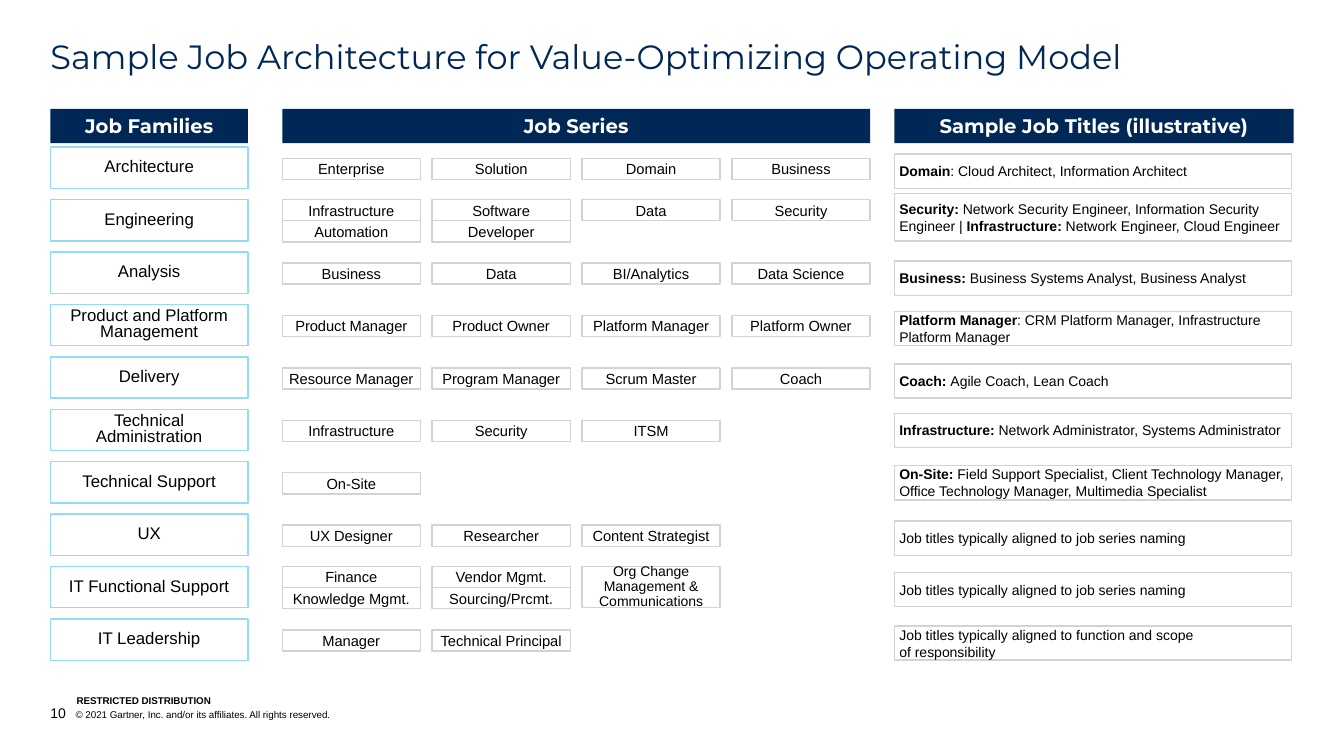
"""Build the job architecture slide."""
from lxml.etree import SubElement
from pptx import Presentation
from pptx.dml.color import RGBColor
from pptx.enum.shapes import MSO_SHAPE as Preset
from pptx.enum.text import MSO_ANCHOR as Anchor, MSO_AUTO_SIZE as AutoSize, PP_ALIGN as Align
from pptx.oxml.ns import qn
from pptx.util import Inches, Pt

NAVY, BLUE, GREY, BLACK, WHITE = "002856", "91DCF8", "D3D3D3", "000000", "FFFFFF"
FAMILY_LEFT, SERIES_LEFT, TITLES_LEFT = 0.5, 2.8, 8.87
FAMILY_WIDTH, SERIES_WIDTH, TITLES_WIDTH = 1.96, 5.83, 3.94
HEADER_TOP, HEADER_HEIGHT = 1.08, 0.34
ROW_TOP, ROW_PITCH, ROW_HEIGHT = 1.46, 0.52, 0.41
CELL_WIDTH, CELL_HEIGHT = 1.37, 0.21
CELL_PITCH = (SERIES_WIDTH - CELL_WIDTH) / 3
TALL_SERIES = "Org Change Management & Communications"
SERIES_NAMING = "Job titles typically aligned to job series naming"

HEADERS = [
    ("Job Families", FAMILY_LEFT, FAMILY_WIDTH),
    ("Job Series", SERIES_LEFT, SERIES_WIDTH),
    ("Sample Job Titles (illustrative)", TITLES_LEFT, 3.96),
]
FAMILIES = [
    ("Architecture", [["Enterprise"], ["Solution"], ["Domain"], ["Business"]],
     "**Domain**: Cloud Architect, Information Architect", 1.53),
    ("Engineering",
     [["Infrastructure", "Automation"], ["Software", "Developer"], ["Data"], ["Security"]],
     "**Security: **Network Security Engineer, Information Security Engineer | "
     "**Infrastructure: **Network Engineer, Cloud Engineer", 1.92),
    ("Analysis", [["Business"], ["Data"], ["BI/Analytics"], ["Data Science"]],
     "**Business: **Business Systems Analyst, Business Analyst", 2.59),
    ("Product and Platform Management",
     [["Product Manager"], ["Product Owner"], ["Platform Manager"], ["Platform Owner"]],
     "**Platform Manager**: CRM Platform Manager, Infrastructure Platform Manager", 3.09),
    ("Delivery", [["Resource Manager"], ["Program Manager"], ["Scrum Master"], ["Coach"]],
     "**Coach: **Agile Coach, Lean Coach", 3.61),
    ("Technical\nAdministration", [["Infrastructure"], ["Security"], ["ITSM"]],
     "**Infrastructure: **Network Administrator, Systems Administrator", 4.1),
    ("Technical Support", [["On-Site"]],
     "**On-Site: **Field Support Specialist, Client Technology Manager, "
     "Office Technology Manager, Multimedia Specialist", 4.62),
    ("UX", [["UX Designer"], ["Researcher"], ["Content Strategist"]], SERIES_NAMING, 5.17),
    ("IT Functional Support",
     [["Finance", "Knowledge Mgmt."], ["Vendor Mgmt.", "Sourcing/Prcmt."], [TALL_SERIES]],
     SERIES_NAMING, 5.68),
    ("IT Leadership", [["Manager"], ["Technical Principal"]],
     "Job titles typically aligned to function and scope\vof responsibility", 6.21),
]


def color(value):
    """Return the colour for a hex string."""
    return RGBColor.from_string(value)


def apply_format(target, values):
    """Set each attribute of the target from a dict."""
    for name, value in values.items():
        setattr(target, name, value)


def add_runs(paragraph, text, size, font="Arial", ink=BLACK, bold=False):
    """Add text to a paragraph, with bold parts between double asterisks."""
    for line_number, line in enumerate(text.split("\v")):
        if line_number:
            paragraph.add_line_break()
        for part_number, part in enumerate(line.split("**")):
            if part:
                run = paragraph.add_run()
                run.text = part
                apply_format(run.font, {"name": font, "size": Pt(size),
                                        "bold": bold or part_number % 2 == 1})
                run.font.color.rgb = color(ink)


def format_frame(frame, side_margin=0, anchor=Anchor.MIDDLE):
    """Set wrapping, anchor and margins of a text frame."""
    apply_format(frame, {"word_wrap": True, "auto_size": AutoSize.NONE,
                         "vertical_anchor": anchor, "margin_top": 0, "margin_bottom": 0,
                         "margin_left": Inches(side_margin),
                         "margin_right": Inches(side_margin)})


def add_box(slide, box, text, size, line=None, fill=None, align=Align.CENTER,
            side_margin=0.05, spacing=1.0, **font):
    """Draw a labelled rectangle in the given box."""
    shape = slide.shapes.add_shape(Preset.RECTANGLE, *map(Inches, box))
    shape.shadow.inherit = False
    if fill:
        shape.fill.solid()
        shape.fill.fore_color.rgb = color(fill)
    else:
        shape.fill.background()
    if line:
        shape.line.color.rgb = color(line)
        shape.line.width = Pt(1)
    else:
        shape.line.fill.background()
    frame = shape.text_frame
    format_frame(frame, side_margin)
    for number, label in enumerate(text.split("\n")):
        paragraph = frame.add_paragraph() if number else frame.paragraphs[0]
        apply_format(paragraph, {"alignment": align, "line_spacing": spacing})
        add_runs(paragraph, label, size, **font)


def add_title(slide, box, text):
    """Place and format the title placeholder."""
    title = slide.shapes.title
    apply_format(title, dict(zip(("left", "top", "width", "height"), map(Inches, box))))
    format_frame(title.text_frame, anchor=Anchor.TOP)
    paragraph = title.text_frame.paragraphs[0]
    apply_format(paragraph, {"alignment": Align.LEFT, "line_spacing": 0.9,
                             "space_after": Pt(12)})
    add_runs(paragraph, text, 24, "Montserrat", NAVY)


def add_headers(slide):
    """Draw the column headers."""
    for text, left, width in HEADERS:
        add_box(slide, (left, HEADER_TOP, width, HEADER_HEIGHT), text, 14, fill=NAVY,
                font="Montserrat", ink=WHITE, bold=True)


def add_series(slide, left, top, columns):
    """Draw the job series of one family, stacked where a column holds two."""
    stacked = max(map(len, columns)) > 1
    offset = 0 if stacked else (ROW_HEIGHT - CELL_HEIGHT) / 2 + 0.01
    for column, names in enumerate(columns):
        for level, name in enumerate(names):
            tall = name == TALL_SERIES
            box = (left + column * CELL_PITCH, top + offset + level * CELL_HEIGHT,
                   CELL_WIDTH, ROW_HEIGHT if tall else CELL_HEIGHT)
            add_box(slide, box, name, 10 if tall else 10.5, GREY,
                    spacing=0.9 if tall else 1.0)


def add_family(slide, top, family, columns, titles, titles_top):
    """Draw one row: family, job series and sample titles."""
    add_box(slide, (FAMILY_LEFT, top, FAMILY_WIDTH, ROW_HEIGHT), family, 12, BLUE,
            side_margin=0, spacing=0.8)
    add_series(slide, SERIES_LEFT, top, columns)
    height = 0.47 if family == "Engineering" else 0.34
    add_box(slide, (TITLES_LEFT, titles_top, TITLES_WIDTH, height), titles, 10, GREY,
            align=Align.LEFT)


def add_footer_line(slide, box, parts):
    """Place a footer line with a hanging tab; parts are text, size and bold."""
    frame = slide.shapes.add_textbox(*map(Inches, box)).text_frame
    format_frame(frame, anchor=Anchor.BOTTOM)
    paragraph = frame.paragraphs[0]
    properties = paragraph._p.get_or_add_pPr()
    indent = Inches(0.25)
    properties.set("marL", str(indent))
    properties.set("indent", str(-indent))
    tabs = SubElement(properties, qn("a:tabLst"))
    SubElement(tabs, qn("a:tab"), pos=str(indent), algn="l")
    for text, size, bold in parts:
        add_runs(paragraph, text, size, bold=bold)


def main():
    """Build and save the presentation."""
    presentation = Presentation()
    apply_format(presentation, {"slide_width": Inches(13.33), "slide_height": Inches(7.5)})
    slide = presentation.slides.add_slide(presentation.slide_layouts[5])
    add_title(slide, (0.5, 0.4, 12.33, 0.48),
              "Sample Job Architecture for Value-Optimizing Operating Model")
    add_headers(slide)
    for row, family in enumerate(FAMILIES):
        add_family(slide, ROW_TOP + row * ROW_PITCH, *family)
    add_footer_line(slide, (0.5, 6.99, 7.99, 0.17), [
        ("10", 10, False),
        ("\t© 2021 Gartner, Inc. and/or its affiliates. All rights reserved.", 7, False)])
    add_footer_line(slide, (0.76, 6.89, 2.53, 0.12), [("RESTRICTED DISTRIBUTION", 7, True)])
    presentation.save("out.pptx")


if __name__ == "__main__":
    main()
